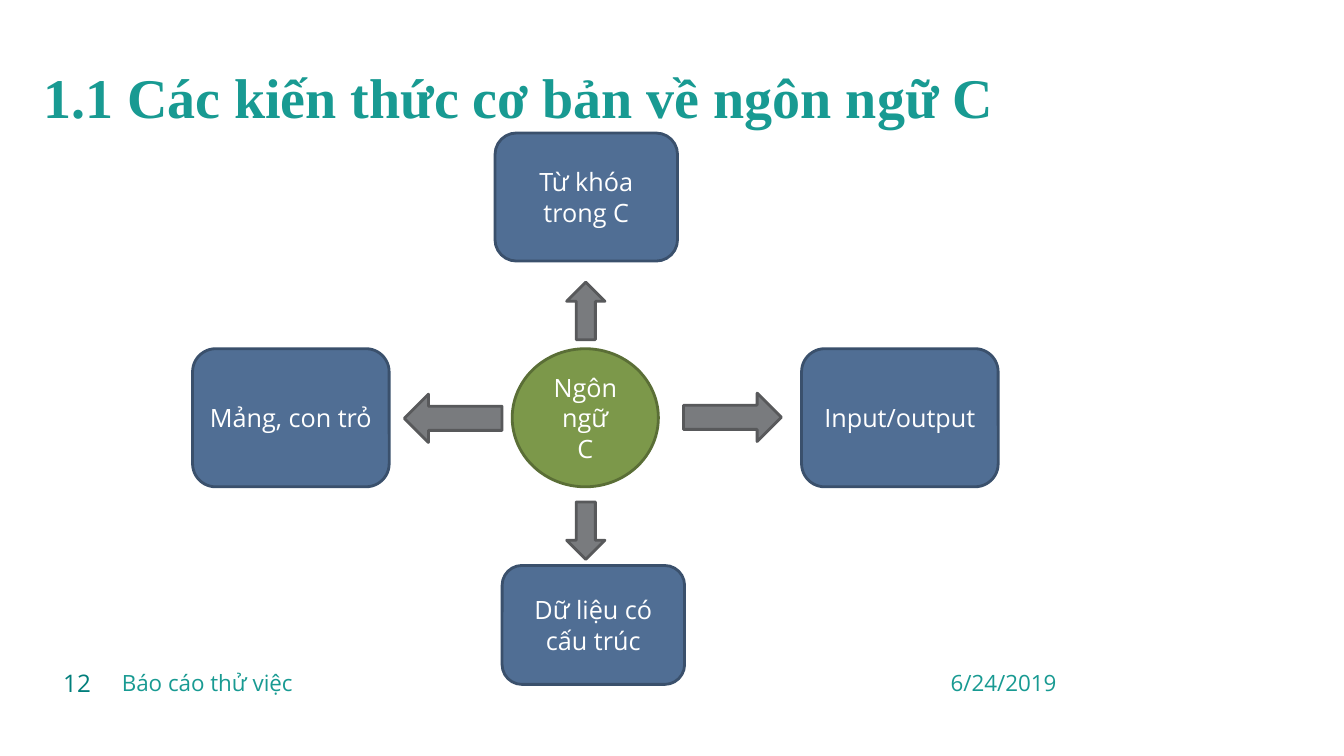
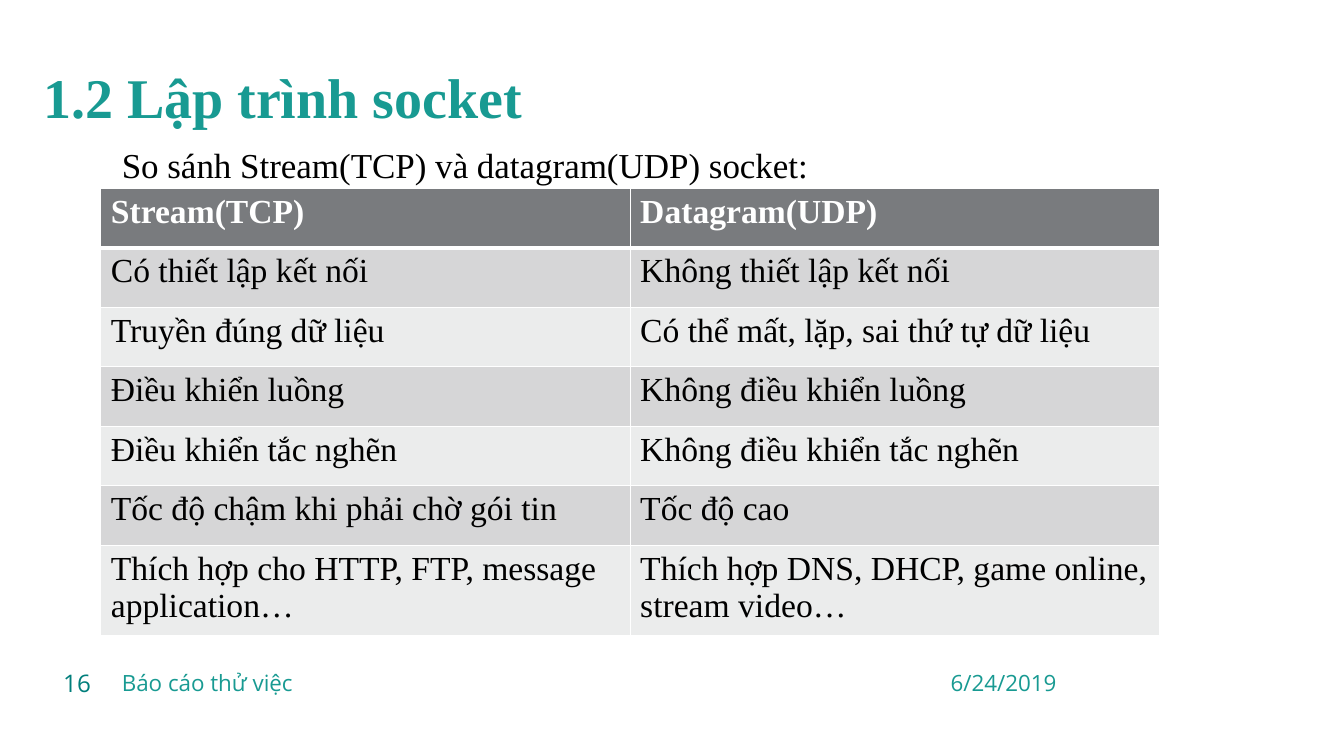
from lxml.etree import SubElement
from pptx import Presentation
from pptx.dml.color import RGBColor
from pptx.enum.shapes import MSO_SHAPE as SHAPE
from pptx.enum.text import MSO_ANCHOR as ANCHOR, PP_ALIGN as ALIGN
from pptx.oxml.ns import qn
from pptx.util import Emu, Pt

PX = 9144  # 100 px to the inch
SERIF, SANS = "Times New Roman", "Open Sans"
COLORS = {
    "title": "189A92", "number": "007E7B", "text": "000000", "white": "FFFFFF",
    "topic": "506E94", "topic_line": "3A506C",
    "core": "7C984A", "core_line": "5A6E36",
    "arrow": "797B7E", "arrow_line": "58595B",
    "header": "797B7E", "odd": "D6D6D7", "even": "EBECEC",
}

# Box: left, top, width, height
TOPICS = [
    ("Từ khóa trong C", (491, 132, 181, 127)),
    ("Mảng, con trỏ", (191, 346, 195, 137)),
    ("Input/output", (795, 346, 195, 137)),
    ("Dữ liệu có cấu trúc", (498, 561, 181, 118)),
]
ARROWS = [
    (SHAPE.UP_ARROW, (562, 280, 38, 57)),
    (SHAPE.LEFT_ARROW, (401, 391, 97, 48)),
    (SHAPE.RIGHT_ARROW, (678, 390, 97, 48)),
    (SHAPE.DOWN_ARROW, (562, 498, 38, 57)),
]
COMPARISON = [
    ("Stream(TCP)", "Datagram(UDP)"),
    ("Có thiết lập kết nối", "Không thiết lập kết nối"),
    ("Truyền đúng dữ liệu", "Có thể mất, lặp, sai thứ tự dữ liệu"),
    ("Điều khiển luồng", "Không điều khiển luồng"),
    ("Điều khiển tắc nghẽn", "Không điều khiển tắc nghẽn"),
    ("Tốc độ chậm khi phải chờ gói tin", "Tốc độ cao"),
    ("Thích hợp cho HTTP, FTP, message application…",
     "Thích hợp DNS, DHCP, game online, stream video…"),
]


def emu(box):
    return [Emu(v * PX) for v in box]


def rgb(name):
    return RGBColor.from_string(COLORS[name])


def set_text(tf, text, size, color, font=SANS, bold=False, align=ALIGN.LEFT):
    tf.text = text
    tf.word_wrap = True
    for p in tf.paragraphs:
        p.alignment = align
        for r in p.runs:
            r.font.name = font
            r.font.size = Pt(size)
            r.font.bold = bold
            r.font.color.rgb = rgb(color)


def add_text(slide, box, text, size, color, anchor=ANCHOR.MIDDLE, **style):
    tf = slide.shapes.add_textbox(*emu(box)).text_frame
    set_text(tf, text, size, color, **style)
    tf.vertical_anchor = anchor
    return tf


def add_figure(slide, kind, box, color, text=""):
    sp = slide.shapes.add_shape(kind, *emu(box))
    sp.shadow.inherit = False
    sp.fill.solid()
    sp.fill.fore_color.rgb = rgb(color)
    sp.line.color.rgb = rgb(color + "_line")
    sp.line.width = Pt(2)
    if text:
        set_text(sp.text_frame, text, 18, "white", align=ALIGN.CENTER)
        sp.text_frame.vertical_anchor = ANCHOR.MIDDLE


def set_borders(cell, bottom):
    # Borders have to come before the fill in the cell properties
    tc_pr = cell._tc.get_or_add_tcPr()
    for side in "LRTB":
        width = bottom if side == "B" else 1
        ln = SubElement(tc_pr, qn(f"a:ln{side}"), w=str(Pt(width)))
        fill = SubElement(ln, qn("a:solidFill"))
        SubElement(fill, qn("a:srgbClr"), val=COLORS["white"])


def add_table(slide, left, top, col_width, row_height, rows):
    cols = len(rows[0])
    box = (left, top, col_width * cols, row_height * len(rows))
    table = slide.shapes.add_table(len(rows), cols, *emu(box)).table
    for i, row in enumerate(rows):
        is_header = i == 0
        fill = "header" if is_header else "odd" if i % 2 else "even"
        for j, text in enumerate(row):
            cell = table.cell(i, j)
            set_borders(cell, 3 if is_header else 1)
            cell.fill.solid()
            cell.fill.fore_color.rgb = rgb(fill)
            set_text(cell.text_frame, text, 24, "white" if is_header else "text",
                     font=SERIF, bold=is_header)


def add_slide(prs, title, number):
    slide = prs.slides.add_slide(prs.slide_layouts[6])
    tf = add_text(slide, (33, 24, 1283, 112), title, 40, "title",
                  anchor=ANCHOR.TOP, font=SERIF, bold=True)
    tf.paragraphs[0].line_spacing = 1.5
    # Footer
    add_text(slide, (33, 657, 67, 40), number, 17.3, "number", align=ALIGN.RIGHT)
    add_text(slide, (111, 657, 422, 40), "Báo cáo thử việc", 16, "title")
    add_text(slide, (933, 657, 156, 40), "6/24/2019", 16, "title")
    return slide


def main():
    prs = Presentation()
    prs.slide_width, prs.slide_height = emu((1333, 750))

    # Topics around the C language
    slide = add_slide(prs, "1.1 Các kiến thức cơ bản về ngôn ngữ C", "12")
    add_figure(slide, SHAPE.OVAL, (508, 346, 145, 137), "core", "Ngôn ngữ\nC")
    for text, box in TOPICS:
        add_figure(slide, SHAPE.ROUNDED_RECTANGLE, box, "topic", text)
    for kind, box in ARROWS:
        add_figure(slide, kind, box, "arrow")

    # Comparison of socket types
    slide = add_slide(prs, "1.2 Lập trình socket", "16")
    add_text(slide, (111, 137, 1060, 52),
             "So sánh Stream(TCP) và datagram(UDP) socket:", 25, "text",
             anchor=ANCHOR.TOP, font=SERIF)
    add_table(slide, 100, 187, 525, 59, COMPARISON)

    prs.save("out.pptx")


if __name__ == "__main__":
    main()
